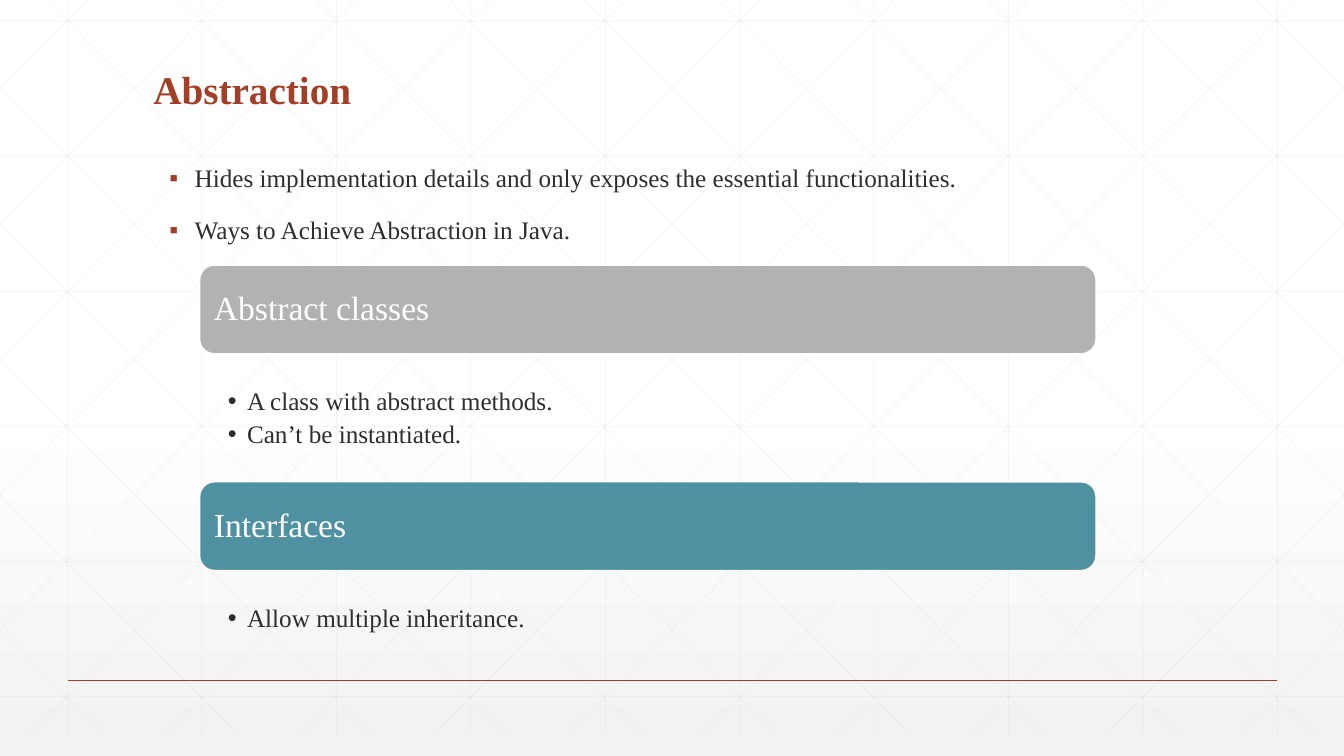
from dataclasses import dataclass

from lxml import etree
from pptx import Presentation
from pptx import util as u
from pptx.dml.color import RGBColor
from pptx.enum import shapes, text
from pptx.oxml.ns import qn


@dataclass(frozen=True)
class Theme:
    font: str = "Times New Roman"
    bullet_font: str = "Arial"
    accent: str = "A43F27"
    ink: str = "2D2E2D"
    white: str = "FFFFFF"
    shade: str = "F2F2F2"
    grid: str = "D9D9D9"
    grey: str = "B2B2B2"
    teal: str = "4F91A1"
    title_size: int = 28
    heading_size: int = 24
    body_size: int = 18
    line_spacing: float = 0.9


WIDTH, HEIGHT = 13.33, 7.5


def rgb(color):
    return RGBColor.from_string(color)


def apply(target, values):
    for name, value in values.items():
        setattr(target, name, value)


class SlideBuilder:
    def __init__(self, slide, theme):
        self.slide = slide
        self.theme = theme

    def background(self):
        fill = self.slide.background.fill
        fill.gradient()
        fill.gradient_angle = 270
        stops = ((0.53, self.theme.white), (1, self.theme.shade))
        for stop, (position, color) in zip(fill.gradient_stops, stops):
            stop.position = position
            stop.color.rgb = rgb(color)

    def line(self, start, end, color, weight, opacity=None):
        ends = [u.Inches(value) for value in (*start, *end)]
        rule = self.slide.shapes.add_connector(shapes.MSO_CONNECTOR.STRAIGHT, *ends)
        rule.line.color.rgb = rgb(color)
        rule.line.width = u.Pt(weight)
        properties = rule.element.spPr
        if opacity is not None:
            tint = properties.find(".//" + qn("a:srgbClr"))
            etree.SubElement(tint, qn("a:alpha")).set("val", str(opacity * 1000))
        etree.SubElement(properties, qn("a:effectLst"))

    def placeholder(self, holder, box, lines, **style):
        apply(holder, dict(zip(("left", "top", "width", "height"), map(u.Inches, box))))
        # Bring the text in front of the grid
        holder.element.getparent().append(holder.element)
        self.fill_text(holder.text_frame, lines, **style)

    def bar(self, box, heading, color):
        bar = self.slide.shapes.add_shape(
            shapes.MSO_SHAPE.ROUNDED_RECTANGLE, *map(u.Inches, box))
        bar.shadow.inherit = False
        bar.fill.solid()
        bar.fill.fore_color.rgb = rgb(color)
        bar.line.color.rgb = rgb(self.theme.white)
        bar.line.width = u.Pt(1)
        self.fill_text(bar.text_frame, [heading], size=self.theme.heading_size,
                       color=self.theme.white, anchor=text.MSO_ANCHOR.MIDDLE,
                       insets=(0.1, 0.1, 0.1, 0.1))

    def details(self, box, lines):
        panel = self.slide.shapes.add_textbox(*map(u.Inches, box))
        self.fill_text(panel.text_frame, lines, size=self.theme.body_size,
                       color=self.theme.ink, insets=(0.28, 0.35, 0.14, 0.03),
                       after=4.1, bullet="•", indent=0.19)

    def fill_text(self, frame, lines, size, color, bold=False,
                  anchor=text.MSO_ANCHOR.TOP, insets=(0.1, 0.05, 0.1, 0.05),
                  before=0, after=0, bullet=None, indent=0, bullet_color=None):
        sides = ("margin_left", "margin_top", "margin_right", "margin_bottom")
        apply(frame, {
            "word_wrap": True,
            "auto_size": text.MSO_AUTO_SIZE.NONE,
            "vertical_anchor": anchor,
            **dict(zip(sides, map(u.Inches, insets))),
        })
        for index, line in enumerate(lines):
            paragraph = frame.add_paragraph() if index else frame.paragraphs[0]
            apply(paragraph, {
                "alignment": text.PP_ALIGN.LEFT,
                "line_spacing": self.theme.line_spacing,
                "space_before": u.Pt(before),
                "space_after": u.Pt(after),
            })
            run = paragraph.add_run()
            run.text = line
            apply(run.font, {"name": self.theme.font, "size": u.Pt(size), "bold": bold})
            run.font.color.rgb = rgb(color)
            if bullet:
                self.mark(paragraph, bullet, indent, bullet_color or color)

    def mark(self, paragraph, bullet, indent, color):
        properties = paragraph._p.get_or_add_pPr()
        properties.set("marL", str(u.Inches(indent)))
        properties.set("indent", str(-u.Inches(indent)))
        tint = etree.SubElement(properties, qn("a:buClr"))
        etree.SubElement(tint, qn("a:srgbClr")).set("val", color)
        etree.SubElement(properties, qn("a:buFont")).set("typeface", self.theme.bullet_font)
        etree.SubElement(properties, qn("a:buChar")).set("char", bullet)


def draw_grid(builder):
    top, bottom, step = -0.21, 7.29, 4 / 3
    run = 7.45
    slope = (bottom - top) / run
    segments = [((0.67 + i * step, top), (0.67 + i * step, bottom)) for i in range(10)]
    segments += [((0, 0.21 + i * 1.34), (WIDTH, 0.21 + i * 1.34)) for i in range(6)]

    # Diagonals are clipped at the slide edges and mirrored
    for i in range(-5, 10):
        origin = 0.25 + i * step
        left, right = max(origin, 0), min(origin + run, WIDTH)
        y1, y2 = (top + (x - origin) * slope for x in (left, right))
        segments.append(((left, y1), (right, y2)))
        segments.append(((WIDTH - left, y1), (WIDTH - right, y2)))

    for start, end in segments:
        builder.line(start, end, builder.theme.grid, 0.5, opacity=25)


def main():
    theme = Theme()
    deck = Presentation()
    deck.slide_width, deck.slide_height = u.Inches(WIDTH), u.Inches(HEIGHT)
    slide = deck.slides.add_slide(deck.slide_layouts[1])
    builder = SlideBuilder(slide, theme)

    # Backdrop
    builder.background()
    draw_grid(builder)
    builder.line((0.67, 6.75), (12.67, 6.75), theme.accent, 1)

    # Title and introduction
    builder.placeholder(slide.shapes.title, (1.42, 0.55, 10.5, 0.62), ["Abstraction"],
                        size=theme.title_size, color=theme.accent, bold=True,
                        anchor=text.MSO_ANCHOR.BOTTOM)
    introduction = [
        "Hides implementation details and only exposes the essential functionalities.",
        "Ways to Achieve Abstraction in Java.",
    ]
    builder.placeholder(slide.placeholders[1], (1.58, 1.59, 10.11, 5), introduction,
                        size=theme.body_size, color=theme.ink, before=18,
                        bullet="▪", indent=0.25, bullet_color=theme.accent)

    # Ways to achieve abstraction
    ways = [
        ("Abstract classes", theme.grey, 1.27,
         ["A class with abstract methods.", "Can’t be instantiated."]),
        ("Interfaces", theme.teal, 0.78, ["Allow multiple inheritance."]),
    ]
    left, top, width, bar_height = 1.98, 2.63, 8.89, 0.88
    for heading, color, details_height, details in ways:
        builder.bar((left, top, width, bar_height), heading, color)
        top += bar_height
        builder.details((left, top, width, details_height), details)
        top += details_height

    deck.save("out.pptx")


if __name__ == "__main__":
    main()
